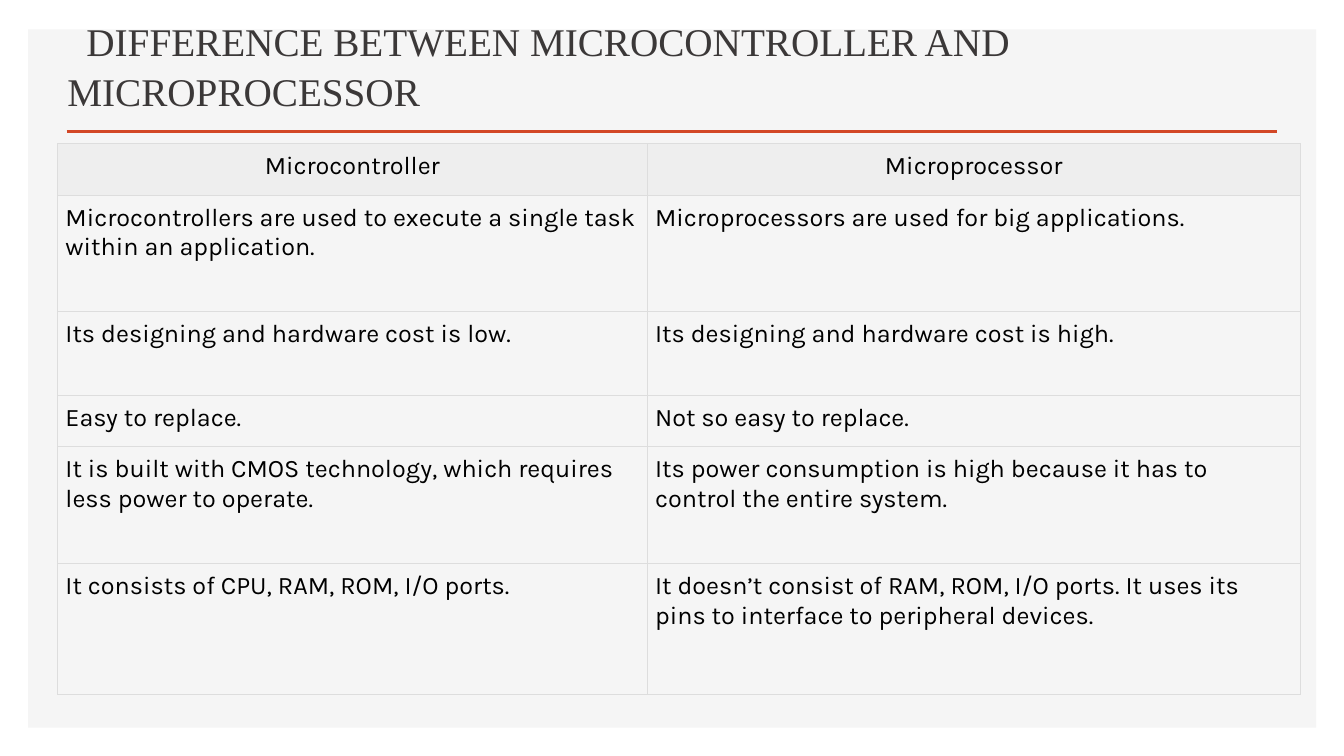
from dataclasses import dataclass

from lxml.etree import SubElement
from pptx import Presentation
from pptx.dml.color import RGBColor
from pptx.enum.shapes import MSO_CONNECTOR, MSO_SHAPE
from pptx.enum.text import MSO_ANCHOR, PP_ALIGN
from pptx.oxml import parse_xml
from pptx.oxml.ns import nsdecls, qn
from pptx.util import Cm, Pt


@dataclass(frozen=True)
class Theme:
    panel: str = "F5F5F5"
    accent: str = "D24726"
    title: str = "3B3838"
    text: str = "000000"
    header: str = "EEEEEE"
    border: str = "DDDDDD"
    title_font: str = "Times New Roman"
    body_font: str = "Karla"
    title_size: int = 28
    body_size: int = 18
    rule_width: float = 2
    border_width: float = 0.75


@dataclass(frozen=True)
class Box:
    left: float
    top: float
    width: float
    height: float

    def lengths(self):
        return Cm(self.left), Cm(self.top), Cm(self.width), Cm(self.height)


THEME = Theme()
TITLE = "DIFFERENCE BETWEEN MICROCONTROLLER AND MICROPROCESSOR"
COMPARISON = [
    ("Microcontroller", "Microprocessor"),
    ("Microcontrollers are used to execute a single task within an application.",
     "Microprocessors are used for big applications."),
    ("Its designing and hardware cost is low.",
     "Its designing and hardware cost is high."),
    ("Easy to replace.", "Not so easy to replace."),
    ("It is built with CMOS technology, which requires less power to operate.",
     "Its power consumption is high because it has to control the entire system."),
    ("It consists of CPU, RAM, ROM, I/O ports.",
     "It doesn’t consist of RAM, ROM, I/O ports. It uses its pins to interface to peripheral devices."),
]
COLUMN_SHARES = (5.85, 6.48)
ROW_SHARES = (0.51, 1.16, 0.83, 0.51, 1.16, 1.3)


def colour(value):
    return RGBColor.from_string(value)


def format_runs(para, font, size, value):
    for span in para.runs:
        span.font.name = font
        span.font.size = Pt(size)
        span.font.color.rgb = colour(value)


def add_panel(page, box):
    panel = page.shapes.add_shape(MSO_SHAPE.RECTANGLE, *box.lengths())
    panel.shadow.inherit = False
    panel.fill.solid()
    panel.fill.fore_color.rgb = colour(THEME.panel)
    panel.line.fill.background()


def add_heading(page, box):
    heading = page.shapes.add_textbox(*box.lengths())
    frame = heading.text_frame
    frame.word_wrap = True
    frame.vertical_anchor = MSO_ANCHOR.BOTTOM
    frame.text = TITLE
    para = frame.paragraphs[0]
    para.line_spacing = 1.07
    properties = para._p.get_or_add_pPr()
    properties.set("marL", "0")
    properties.set("indent", str(Cm(0.48)))
    format_runs(para, THEME.title_font, THEME.title_size, THEME.title)

    rule_top = Cm(box.top + box.height + 0.3)
    rule = page.shapes.add_connector(
        MSO_CONNECTOR.STRAIGHT,
        Cm(box.left + 0.23), rule_top,
        Cm(box.left + box.width - 0.18), rule_top)
    rule.line.color.rgb = colour(THEME.accent)
    rule.line.width = Pt(THEME.rule_width)
    SubElement(rule._element.spPr, qn("a:effectLst"))


def add_borders(cell):
    properties = cell._tc.get_or_add_tcPr()
    for position, side in enumerate(("lnL", "lnR", "lnT", "lnB")):
        properties.insert(position, parse_xml(
            f'<a:{side} {nsdecls("a")} w="{Pt(THEME.border_width)}">'
            f'<a:solidFill><a:srgbClr val="{THEME.border}"/></a:solidFill>'
            f'</a:{side}>'))


def fill_cell(cell, text, is_header):
    cell.margin_left = cell.margin_right = Cm(0.2)
    cell.margin_top = cell.margin_bottom = Cm(0.2)
    cell.vertical_anchor = MSO_ANCHOR.TOP
    cell.text_frame.text = text
    para = cell.text_frame.paragraphs[0]
    para.alignment = PP_ALIGN.CENTER if is_header else PP_ALIGN.LEFT
    format_runs(para, THEME.body_font, THEME.body_size, THEME.text)
    if is_header:
        cell.fill.solid()
        cell.fill.fore_color.rgb = colour(THEME.header)
    else:
        cell.fill.background()
    add_borders(cell)


def add_comparison(page, box):
    table = page.shapes.add_table(
        len(COMPARISON), len(COLUMN_SHARES), *box.lengths()).table
    table.first_row = False
    table.horz_banding = False
    for column, share in zip(table.columns, COLUMN_SHARES):
        column.width = Cm(box.width * share / sum(COLUMN_SHARES))
    for row, share in zip(table.rows, ROW_SHARES):
        row.height = Cm(box.height * share / sum(ROW_SHARES))
    for row_index, texts in enumerate(COMPARISON):
        for column_index, text in enumerate(texts):
            fill_cell(table.cell(row_index, column_index), text, row_index == 0)


def main():
    deck = Presentation()
    deck.slide_width = Cm(33.87)
    deck.slide_height = Cm(19.05)
    page = deck.slides.add_slide(deck.slide_layouts[6])
    add_panel(page, Box(0.71, 0.74, 32.46, 17.6))
    add_heading(page, Box(1.45, 1.24, 30.91, 1.78))
    add_comparison(page, Box(1.45, 3.62, 31.32, 13.88))
    deck.save("out.pptx")


if __name__ == "__main__":
    main()
